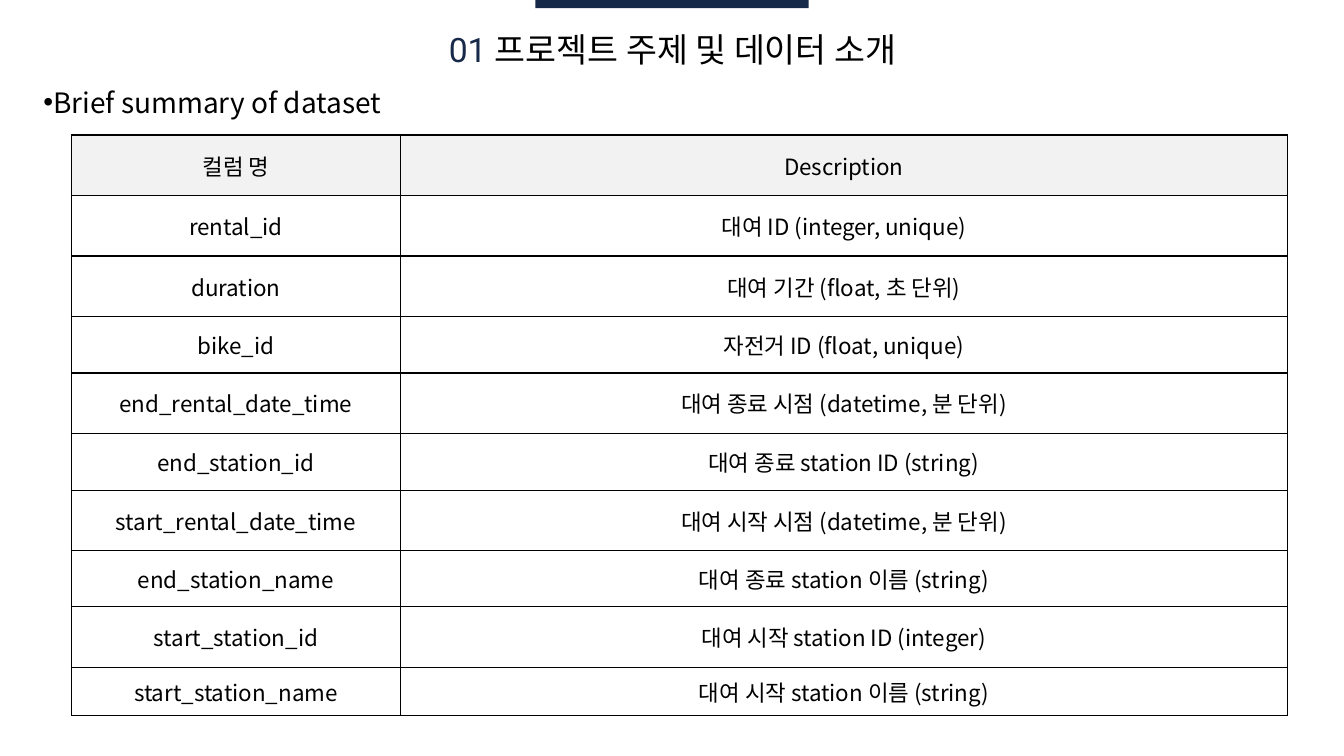
from pptx import Presentation
from pptx import util as u
from pptx.dml.color import RGBColor
from pptx.enum import shapes, text
from pptx.oxml import parse_xml
from pptx.oxml.ns import nsdecls, qn
from lxml import etree

COLORS = {"navy": "172949", "black": "000000", "head": "F2F2F2", "white": "FFFFFF"}
SANS = "Noto Sans CJK KR"
TITLE = [("01 ", "Roboto", "navy"), ("프로젝트 주제 및 데이터 소개", SANS, "black")]
SUMMARY = "Brief summary of dataset"
COLS = [3.26, 8.8]
ROWS = [
    (0.6, "컬럼 명", "Description"),
    (0.6, "rental_id", "대여 ID (integer, unique)"),
    (0.6, "duration", "대여 기간 (float, 초 단위)"),
    (0.56, "bike_id", "자전거 ID (float, unique)"),
    (0.6, "end_rental_date_time", "대여 종료 시점 (datetime, 분 단위)"),
    (0.57, "end_station_id", "대여 종료 station ID (string)"),
    (0.59, "start_rental_date_time", "대여 시작 시점 (datetime, 분 단위)"),
    (0.56, "end_station_name", "대여 종료 station 이름 (string)"),
    (0.6, "start_station_id", "대여 시작 station ID (integer)"),
    (0.48, "start_station_name", "대여 시작 station 이름 (string)"),
]


def color(name):
    return RGBColor.from_string(COLORS[name])


def style(font, size, face, tint):
    font.size = u.Pt(size)
    font.color.rgb = color(tint)
    font.name = face
    # Korean glyphs take the East Asian face
    east = etree.Element(qn("a:ea"), typeface=face)
    font._element.find(qn("a:latin")).addnext(east)


def place(shape, *box):
    shape.left, shape.top, shape.width, shape.height = map(u.Inches, box)
    frame = shape.text_frame
    frame.word_wrap = True
    frame.auto_size = text.MSO_AUTO_SIZE.NONE
    frame.vertical_anchor = text.MSO_ANCHOR.MIDDLE
    return frame.paragraphs[0]


def border(cell):
    props = cell._tc.get_or_add_tcPr()
    for side in "LRTB":
        props.append(parse_xml(
            f'<a:ln{side} {nsdecls("a")} w="{u.Pt(1)}"><a:solidFill>'
            f'<a:srgbClr val="{COLORS["black"]}"/></a:solidFill></a:ln{side}>'))


def main():
    prs = Presentation()
    prs.slide_width, prs.slide_height = u.Inches(13.33), u.Inches(7.5)
    slide = prs.slides.add_slide(prs.slide_layouts[1])

    # Top bar
    bar = slide.shapes.add_shape(shapes.MSO_SHAPE.RECTANGLE, u.Inches(5.31), 0,
                                 u.Inches(2.71), u.Inches(0.08))
    bar.shadow.inherit = False
    bar.fill.solid()
    bar.fill.fore_color.rgb = color("navy")
    bar.line.fill.background()

    # Title
    para = place(slide.shapes.title, 4.23, 0.24, 4.88, 0.5)
    para.alignment = text.PP_ALIGN.CENTER
    for words, face, tint in TITLE:
        run = para.add_run()
        run.text = words
        style(run.font, 24, face, tint)

    # Bulleted summary
    para = place(slide.placeholders[1], 0.33, 0.79, 3.92, 0.44)
    para.text = SUMMARY
    props = para._p.get_or_add_pPr()
    props.set("marL", "0")
    props.set("indent", str(-u.Inches(0.31)))
    para.space_before = u.Pt(0)
    etree.SubElement(props, qn("a:buChar"), char="•")
    style(para.font, 20, SANS, "black")

    # Column table
    table = slide.shapes.add_table(
        len(ROWS), len(COLS), u.Inches(0.71), u.Inches(1.34),
        u.Inches(sum(COLS)), u.Inches(sum(row[0] for row in ROWS))).table
    for col, width in zip(table.columns, COLS):
        col.width = u.Inches(width)
    for r, (height, *words) in enumerate(ROWS):
        table.rows[r].height = u.Inches(height)
        for c, word in enumerate(words):
            cell = table.cell(r, c)
            cell.text = word
            cell.vertical_anchor = text.MSO_ANCHOR.MIDDLE
            border(cell)
            cell.fill.solid()
            cell.fill.fore_color.rgb = color("white" if r else "head")
            para = cell.text_frame.paragraphs[0]
            para.alignment = text.PP_ALIGN.CENTER
            style(para.font, 16, SANS, "black")
            para.font.bold = False

    prs.save("out.pptx")


if __name__ == "__main__":
    main()
